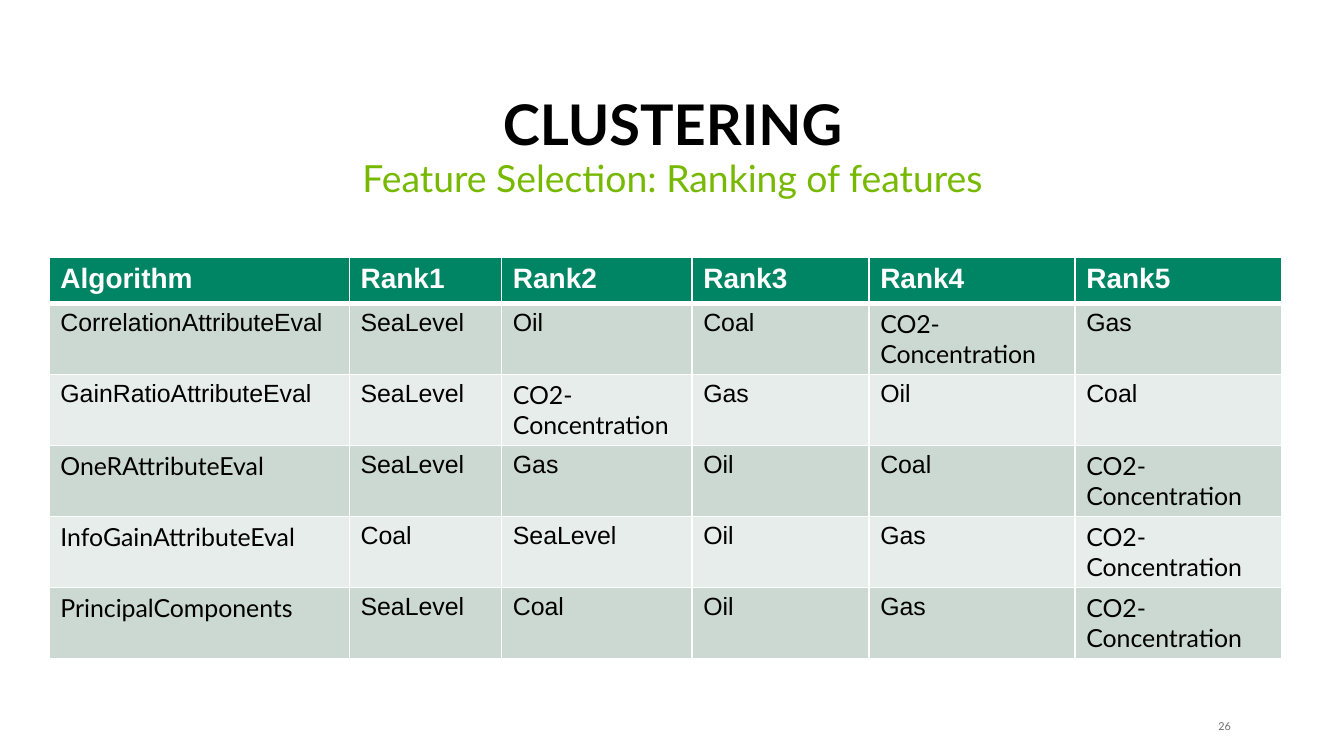
from pptx import Presentation
from pptx.dml.color import RGBColor
from pptx.enum.text import MSO_ANCHOR, PP_ALIGN
from pptx.oxml import parse_xml
from pptx.oxml.ns import nsdecls
from pptx.util import Inches, Pt

COLORS = {
    "white": "FFFFFF",
    "black": "000000",
    "header": "008564",
    "odd_row": "CCD9D3",
    "even_row": "E7EDEA",
    "subtitle": "76B900",
    "number": "6E6E6E",
}

COLUMN_WIDTHS = [2.68, 1.36, 1.7, 1.58, 1.84, 1.84]
HEADER_HEIGHT = 0.41
ROW_HEIGHT = 0.63
CO2 = "CO2-Concentration"
RANKING = [
    ["Algorithm", "Rank1", "Rank2", "Rank3", "Rank4", "Rank5"],
    ["CorrelationAttributeEval", "SeaLevel", "Oil", "Coal", CO2, "Gas"],
    ["GainRatioAttributeEval", "SeaLevel", CO2, "Gas", "Oil", "Coal"],
    ["OneRAttributeEval", "SeaLevel", "Gas", "Oil", "Coal", CO2],
    ["InfoGainAttributeEval", "Coal", "SeaLevel", "Oil", "Gas", CO2],
    ["PrincipalComponents", "SeaLevel", "Coal", "Oil", "Gas", CO2],
]
LATO_ENTRIES = {CO2, "OneRAttributeEval", "InfoGainAttributeEval", "PrincipalComponents"}


def set_values(target, values):
    for name, value in values.items():
        setattr(target, name, value)


class SlideBuilder:
    def __init__(self, deck):
        self.slide = deck.slides.add_slide(deck.slide_layouts[6])

    def fill_text(self, frame, text, color, font, layout=None):
        para = frame.paragraphs[0]
        set_values(para, layout or {})
        span = para.add_run()
        span.text = text
        set_values(span.font, font)
        span.font.color.rgb = RGBColor.from_string(COLORS[color])

    def text(self, place, text, color, font, layout, frame_format):
        box = self.slide.shapes.add_textbox(*map(Inches, place))
        set_values(box.text_frame, {"word_wrap": True, **frame_format})
        self.fill_text(box.text_frame, text, color, font, layout)

    def border(self, cell, side, width):
        line = parse_xml(
            f'<a:{side} {nsdecls("a")} w="{Pt(width)}"><a:solidFill>'
            f'<a:srgbClr val="{COLORS["white"]}"/></a:solidFill></a:{side}>'
        )
        cell._tc.get_or_add_tcPr().append(line)

    def cell(self, cell, text, row):
        is_header = row == 0
        widths = {"lnL": 1, "lnR": 1, "lnT": 3 if row == 1 else 1, "lnB": 3 if is_header else 1}
        for side, width in widths.items():
            self.border(cell, side, width)
        fill = "header" if is_header else "odd_row" if row % 2 else "even_row"
        cell.fill.solid()
        cell.fill.fore_color.rgb = RGBColor.from_string(COLORS[fill])
        font = {
            "name": "Lato" if text in LATO_ENTRIES else "Arial",
            "size": Pt(18 if is_header else 16),
            "bold": is_header,
        }
        self.fill_text(cell.text_frame, text, "white" if is_header else "black", font)

    def table(self, left, top, widths, entries):
        heights = [HEADER_HEIGHT] + [ROW_HEIGHT] * (len(entries) - 1)
        place = map(Inches, (left, top, sum(widths), sum(heights)))
        table = self.slide.shapes.add_table(len(entries), len(widths), *place).table
        for column, width in zip(table.columns, widths):
            column.width = Inches(width)
        for row, (height, texts) in enumerate(zip(heights, entries)):
            table.rows[row].height = Inches(height)
            for column, text in enumerate(texts):
                self.cell(table.cell(row, column), text, row)


def main():
    deck = Presentation()
    set_values(deck, {"slide_width": Inches(12), "slide_height": Inches(6.75)})
    builder = SlideBuilder(deck)
    centered = {"alignment": PP_ALIGN.CENTER, "line_spacing": 0.9}
    no_margins = dict.fromkeys(["margin_left", "margin_top", "margin_right", "margin_bottom"], 0)

    builder.text(
        (10.66, 6.41, 0.33, 0.15), "26", "number",
        {"name": "Lato", "size": Pt(7)},
        {"alignment": PP_ALIGN.RIGHT},
        {"vertical_anchor": MSO_ANCHOR.MIDDLE, **no_margins},
    )
    builder.text(
        (0.55, 0.81, 10.91, 0.65), "CLUSTERING", "black",
        {"name": "Lato", "size": Pt(36), "bold": True},
        centered,
        {"vertical_anchor": MSO_ANCHOR.BOTTOM},
    )
    builder.table(0.44, 2.3, COLUMN_WIDTHS, RANKING)
    builder.text(
        (0.55, 1.38, 10.91, 0.57), "Feature Selection: Ranking of features", "subtitle",
        {"name": "Lato", "size": Pt(24)},
        {**centered, "space_after": Pt(9)},
        {"vertical_anchor": MSO_ANCHOR.TOP},
    )
    deck.save("out.pptx")


if __name__ == "__main__":
    main()
